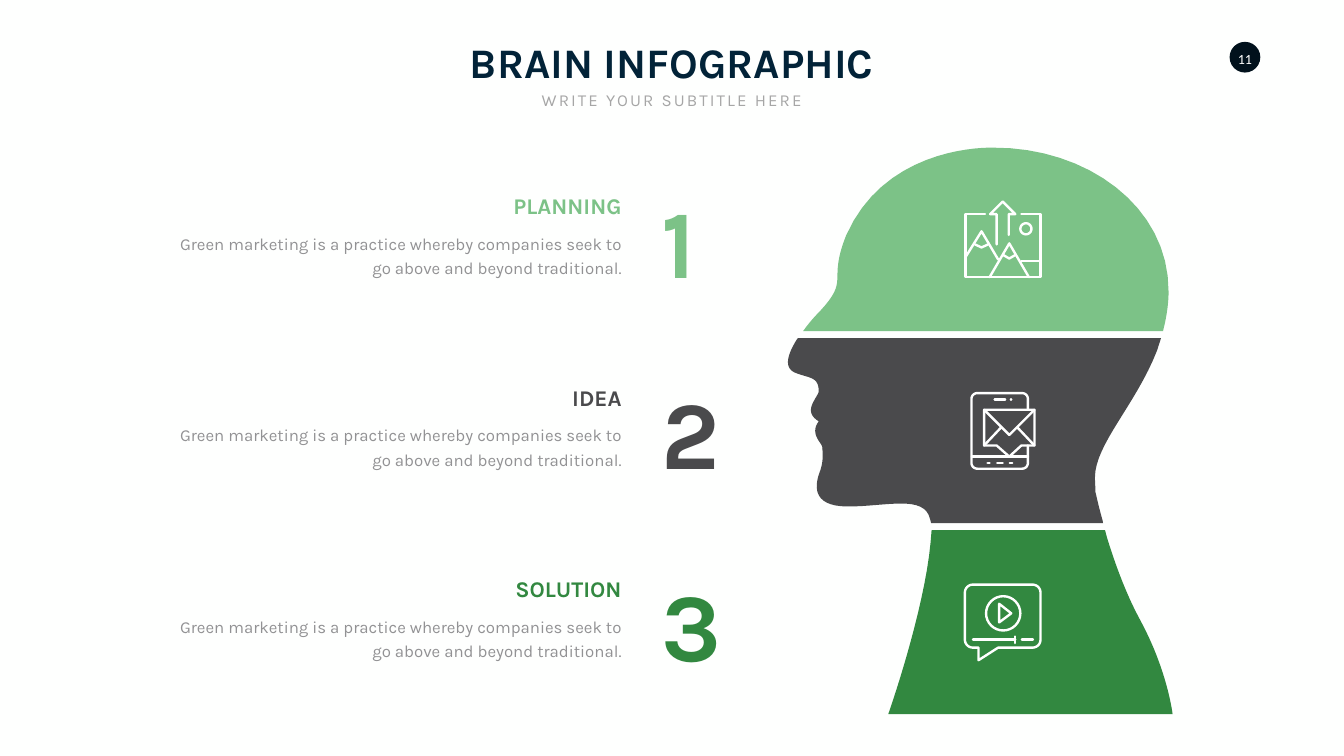
import math

from lxml import etree
from pptx import Presentation
from pptx import util as u
from pptx.dml.color import RGBColor
from pptx.enum import shapes, text
from pptx.oxml import ns

COLORS = {
    "page": "FEFFFE", "title": "022338", "subtitle": "A6A6A6", "badge": "01111C",
    "white": "FFFFFF", "body": "929294",
    "planning": "7CC287", "idea": "4A4A4C", "solution": "328840",
}
BODY = "Green marketing is a practice whereby companies seek to go above and beyond traditional."
STEPS = [("1", "PLANNING", 0.93, 2.52), ("2", "IDEA", 1.31, 1.23), ("3", "SOLUTION", 1.37, 2.45)]
ROW_PITCH = 3.8

CROWN = [
    (4.1, 0.03), (5.95, 0.02, 7.59, 1.19, 7.58, 2.89), (7.58, 3.1, 7.55, 3.3, 7.51, 3.5),
    (7.47, 3.67), (0.33, 3.67), (0.36, 3.63), (0.44, 3.52, 0.54, 3.4, 0.66, 3.28),
    (1.27, 2.62, 0.81, 2.72, 1.18, 1.78), (1.91, 0.11, 3.72, 0.03, 4.05, 0.03),
]
FACE = [
    (0.23, 3.81), (7.43, 3.81), (7.35, 4.06), (6.93, 5.13, 6.12, 5.92, 6.12, 6.57),
    (6.12, 6.67, 6.13, 6.77, 6.13, 6.87), (6.14, 6.89, 6.18, 7.11, 6.27, 7.42),
    (6.28, 7.48), (2.87, 7.48), (2.85, 7.4), (2.74, 6.91, 1.98, 7.15, 1.22, 7.15),
    (0.45, 7.15, 0.58, 6.67, 0.67, 6.44), (0.75, 6.21, 0.71, 5.99, 0.71, 5.99),
    (0.74, 5.91, 0.44, 5.73, 0.64, 5.46), (0.33, 5.27, 0.57, 5.05, 0.64, 4.88),
    (0.65, 4.56, 0.44, 4.61, 0.16, 4.49), (-0.03, 4.4, -0.01, 4.18, 0.21, 3.83),
]
NECK = [
    (2.88, 7.62), (6.32, 7.62), (6.36, 7.77), (6.51, 8.26, 6.73, 8.87, 7, 9.37),
    (7.56, 10.39, 7.66, 11.27, 7.66, 11.27), (2.02, 11.27),
    (2.02, 11.27, 2.73, 9.26, 2.86, 7.86),
]


def ring(x, y, radius, count=32):
    """Return the points of a closed circle."""
    angles = [2 * math.pi * step / count for step in range(count + 1)]
    return [(x + radius * math.cos(a), y + radius * math.sin(a)) for a in angles]


LANDSCAPE = [
    [(0.41, 0.27), (0.02, 0.27), (0.02, 1.52), (1.51, 1.52), (1.51, 0.27), (1.13, 0.27)],
    [(0.64, 0.87), (0.64, 0.27), (0.51, 0.27), (0.76, 0.02), (1.01, 0.27),
     (0.88, 0.27), (0.88, 0.68)],
    ring(1.22, 0.56, 0.11),
    [(0.03, 1.11), (0.34, 0.61), (0.67, 1.17)],
    [(0.5, 1.52), (0.89, 0.85), (1.28, 1.52)],
    [(0.21, 0.87), (0.34, 0.93), (0.47, 0.87)],
    [(0.77, 1.08), (0.89, 1.15), (1.01, 1.08)],
    [(1.13, 1.2), (1.5, 1.2)],
]
PHONE = [
    [(1.14, 0.35), (1.14, 0.14), (1.14, 0.07, 1.09, 0.02, 1.02, 0.02), (0.14, 0.02),
     (0.07, 0.02, 0.02, 0.07, 0.02, 0.14), (0.02, 1.4), (0.02, 1.47, 0.07, 1.52, 0.14, 1.52),
     (1.02, 1.52), (1.09, 1.52, 1.14, 1.47, 1.14, 1.4), (1.14, 1.06)],
    [(0.27, 0.35), (1.27, 0.35), (1.27, 1.06), (1.01, 1.06), (0.77, 1.28), (0.52, 1.06),
     (0.27, 1.06), (0.27, 0.35)],
    [(0.27, 0.35), (0.77, 0.85), (1.27, 0.35)],
    [(0.27, 1.06), (0.61, 0.7)], [(0.93, 0.7), (1.27, 1.06)],
    [(0.03, 1.28), (1.14, 1.28)],
    [(0.34, 1.41), (0.38, 1.41)], [(0.53, 1.41), (0.64, 1.41)], [(0.78, 1.41), (0.83, 1.41)],
    [(0.48, 0.15), (0.69, 0.15)], [(0.8, 0.15), (0.81, 0.15)],
]
VIDEO = [
    [(0.68, 1.27), (1.36, 1.27), (1.45, 1.27, 1.52, 1.2, 1.52, 1.11), (1.52, 0.18),
     (1.52, 0.09, 1.45, 0.02, 1.36, 0.02), (0.18, 0.02), (0.09, 0.02, 0.02, 0.09, 0.02, 0.18),
     (0.02, 1.11), (0.02, 1.2, 0.09, 1.27, 0.18, 1.27), (0.29, 1.27), (0.29, 1.52),
     (0.68, 1.27)],
    ring(0.78, 0.59, 0.34),
    [(0.7, 0.4), (0.94, 0.59), (0.7, 0.77), (0.7, 0.4)],
    [(0.18, 1.11), (1.02, 1.11)], [(1.02, 1.05), (1.02, 1.18)], [(1.15, 1.11), (1.37, 1.11)],
]


def color(name):
    """Look up a colour by name."""
    return RGBColor.from_string(COLORS[name])


def flatten(path_points, steps=16):
    """Turn lines and cubic curves into a list of points."""
    points = []
    for item in path_points:
        if len(item) == 2:
            points.append(item)
            continue
        x0, y0 = points[-1]
        x1, y1, x2, y2, x3, y3 = item
        for step in range(1, steps + 1):
            t = step / steps
            a, b, c, d = (1 - t) ** 3, 3 * t * (1 - t) ** 2, 3 * t * t * (1 - t), t ** 3
            points.append((a * x0 + b * x1 + c * x2 + d * x3, a * y0 + b * y1 + c * y2 + d * y3))
    return points


def add_outline(page, contours, left, top, close):
    """Build one freeform from contours measured from left and top."""
    builder = None
    for contour in contours:
        points = [(u.Inches(left + x), u.Inches(top + y)) for x, y in flatten(contour)]
        if builder is None:
            builder = page.shapes.build_freeform(*points[0])
        else:
            builder.move_to(*points[0])
        builder.add_line_segments(points[1:], close=close)
    shape = builder.convert_to_shape()
    shape.shadow.inherit = False
    return shape


def add_icon(page, strokes, left, top):
    """Draw a white line icon with round caps and joins."""
    icon = add_outline(page, strokes, left, top, False)
    icon.fill.background()
    icon.line.color.rgb = color("white")
    icon.line.width = u.Pt(3.4)
    line = icon._element.spPr.find(ns.qn("a:ln"))
    line.set("cap", "rnd")
    etree.SubElement(line, ns.qn("a:round"))


def write(box, words, size, ink, align, bold=False, font="Karla",
          anchor=text.MSO_ANCHOR.TOP, wrap=False):
    """Fill a text box or placeholder with one formatted paragraph."""
    frame = box.text_frame
    frame.text = words
    frame.word_wrap = wrap
    frame.auto_size = text.MSO_AUTO_SIZE.NONE
    frame.vertical_anchor = anchor
    para = frame.paragraphs[0]
    para.alignment = align
    para.space_before = u.Pt(0)
    span = para.runs[0]
    span.font.name, span.font.size, span.font.bold = font, u.Pt(size), bold
    span.font.color.rgb = color(ink)
    return para


def add_box(page, left, top, width, height):
    """Add an empty text box in inches."""
    return page.shapes.add_textbox(*map(u.Inches, (left, top, width, height)))


def add_header(page, left, top, width):
    """Place the title and the subtitle centred in a band."""
    center = text.PP_ALIGN.CENTER
    title, subtitle = page.shapes.title, page.placeholders[1]
    for box, offset, inset, height in ((title, 0, 0, 1.11), (subtitle, 1.05, 1.7, 0.5)):
        box.left, box.top = u.Inches(left + inset), u.Inches(top + offset)
        box.width, box.height = u.Inches(width - 2 * inset), u.Inches(height)
    write(title, "BRAIN INFOGRAPHIC", 60, "title", center, bold=True)
    para = write(subtitle, "WRITE YOUR SUBTITLE HERE", 24, "subtitle", center)
    para.runs[0].font._element.set("spc", "300")


def add_badge(page, left, top, size):
    """Place the round page number."""
    disc = page.shapes.add_shape(shapes.MSO_SHAPE.OVAL, *map(u.Inches, (left, top, size, size)))
    disc.shadow.inherit = False
    disc.fill.solid()
    disc.fill.fore_color.rgb = color("badge")
    disc.line.fill.background()
    number = add_box(page, left + 0.1, top + 0.16, size - 0.2, 0.34)
    frame = number.text_frame
    frame.margin_left = frame.margin_right = frame.margin_top = frame.margin_bottom = 0
    write(number, "11", 20, "white", text.PP_ALIGN.CENTER, font="Calibri",
          anchor=text.MSO_ANCHOR.MIDDLE)


def add_head(page, left, top):
    """Draw the three parts of the head and their icons."""
    for outline, ink in ((CROWN, "planning"), (FACE, "idea"), (NECK, "solution")):
        part = add_outline(page, [outline], left, top, True)
        part.fill.solid()
        part.fill.fore_color.rgb = color(ink)
        part.line.fill.background()
    for index, (icon, inset) in enumerate(((LANDSCAPE, 3.53), (PHONE, 3.65), (VIDEO, 3.52))):
        add_icon(page, icon, left + inset, top + 1.08 + index * ROW_PITCH)


def add_step(page, step, left, top, width):
    """Place a large number with its heading and description."""
    number, heading, number_width, heading_width = step
    ink, right = heading.lower(), text.PP_ALIGN.RIGHT
    write(add_box(page, left + width + 0.6, top, number_width, 2.42), number, 138, ink,
          text.PP_ALIGN.LEFT, bold=True, anchor=text.MSO_ANCHOR.MIDDLE)
    write(add_box(page, left + width - heading_width, top + 0.22, heading_width, 0.64),
          heading, 32, ink, right, bold=True, anchor=text.MSO_ANCHOR.BOTTOM)
    para = write(add_box(page, left, top + 0.96, width, 1.03), BODY, 24, "body", right, wrap=True)
    para.line_spacing = u.Pt(35)


def main():
    """Build and save the slide."""
    deck = Presentation()
    deck.slide_width, deck.slide_height = u.Inches(26.66), u.Inches(15)
    page = deck.slides.add_slide(deck.slide_layouts[0])
    page.background.fill.solid()
    page.background.fill.fore_color.rgb = color("page")
    add_badge(page, 24.39, 0.83, 0.61)
    add_header(page, 8.91, 0.67, 8.83)
    add_head(page, 15.6, 2.9)
    for index, step in enumerate(STEPS):
        add_step(page, step, 3.4, 3.54 + index * ROW_PITCH, 9.03)
    deck.save("out.pptx")


if __name__ == "__main__":
    main()
